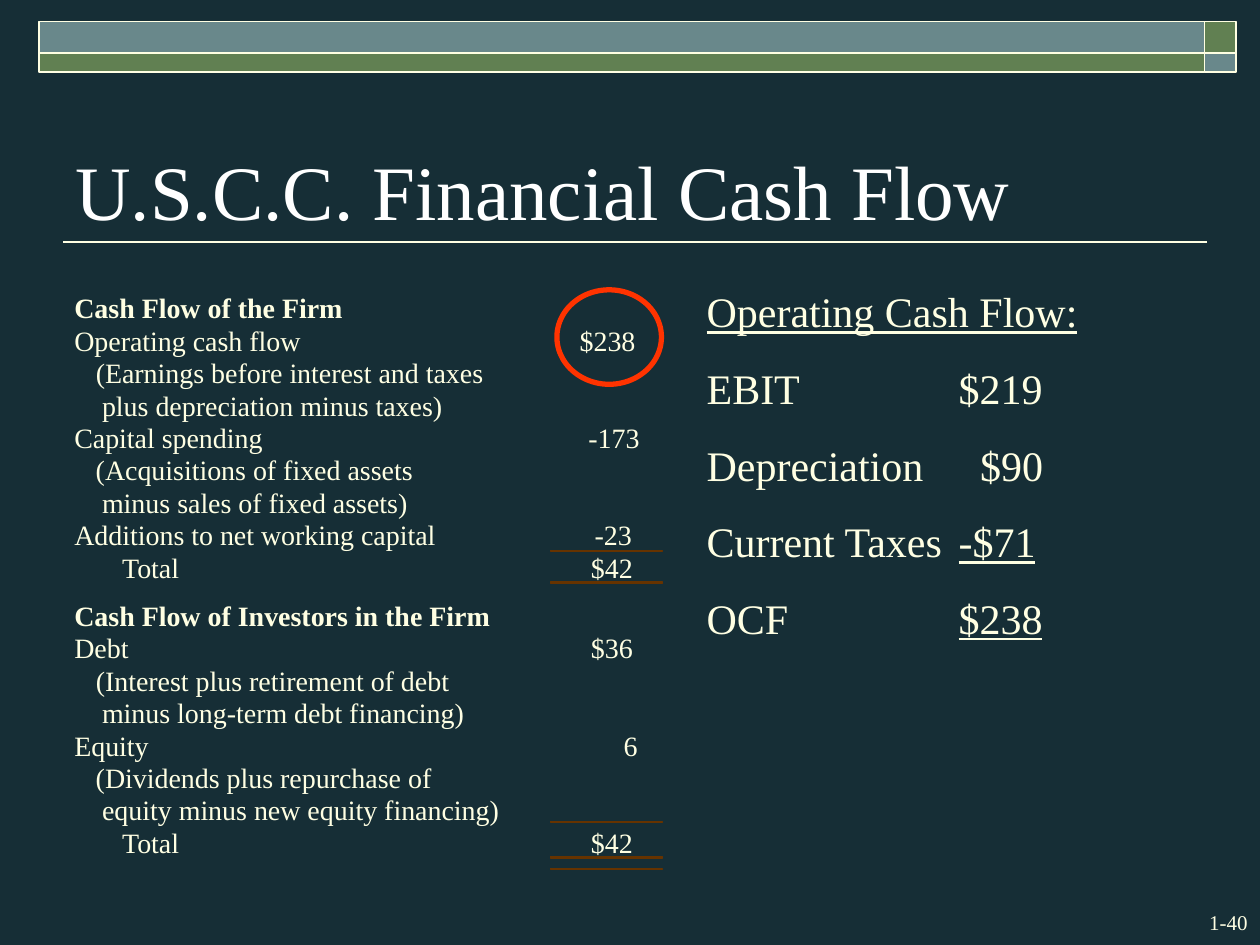
from dataclasses import dataclass

from lxml.etree import SubElement
from pptx import Presentation
from pptx.dml.color import RGBColor
from pptx.enum.shapes import MSO_CONNECTOR, MSO_SHAPE
from pptx.enum.text import MSO_ANCHOR, MSO_AUTO_SIZE, PP_ALIGN
from pptx.oxml.ns import qn
from pptx.util import Inches, Pt


@dataclass(frozen=True)
class Theme:
    font: str = "Times New Roman"
    back: str = "162E36"
    title: str = "FFFFFF"
    text: str = "FFFFE3"
    green: str = "618052"
    blue: str = "69888B"
    rule: str = "663300"
    rule_fill: str = "000000"
    ring: str = "FF3300"
    title_size: int = 44
    detail_size: int = 24
    row_size: int = 16
    number_size: int = 12


THEME = Theme()
ROW_PITCH = 1.8 / 7
ROW_HEIGHT = 0.27
SLACK = 0.04  # spare width that keeps each cell on one line
SUB, SUB_MORE, TOTAL = 0.17, 0.22, 0.38  # label indents

# Rows: label, label width, indent, value, value offset, value width
FIRM_ROWS = [
    ("Cash Flow of the Firm", 2.13, 0, "", 0, 0),
    ("Operating cash flow", 1.8, 0, "$238", 4.01, 0.44),
    ("(Earnings before interest and taxes", 3.24, SUB, "", 0, 0),
    ("plus depreciation minus taxes)", 2.92, SUB_MORE, "", 0, 0),
    ("Capital spending", 1.5, 0, "-173", 4.08, 0.4),
    ("(Acquisitions of fixed assets", 2.69, SUB, "", 0, 0),
    ("minus sales of fixed assets)", 2.65, SUB_MORE, "", 0, 0),
    ("Additions to net working capital", 2.87, 0, "-23", 4.13, 0.3),
    ("Total", 0.86, TOTAL, "$42", 4.1, 0.33),
]
INVESTOR_ROWS = [
    ("Cash Flow of Investors in the Firm", 3.3, 0, "", 0, 0),
    ("Debt", 0.43, 0, "$36", 4.1, 0.33),
    ("(Interest plus retirement of debt", 2.97, SUB, "", 0, 0),
    ("minus long-term debt financing)", 3.1, SUB_MORE, "", 0, 0),
    ("Equity", 0.59, 0, "6", 4.36, 0.11),
    ("(Dividends plus repurchase of", 2.83, SUB, "", 0, 0),
    ("equity minus new equity financing)", 3.37, SUB_MORE, "", 0, 0),
    ("Total", 0.86, TOTAL, "$42", 4.1, 0.33),
]
RULE_TOPS = [4.37, 4.62, 6.52, 6.8, 6.89]

# Rows: label, value, underlined value, tab position
DETAIL_ROWS = [
    ("EBIT", "$219", False, 2),
    ("Depreciation", "$90", False, 2.17),
    ("Current Taxes", "-$71", True, 2),
    ("OCF", "$238", True, 2),
]


def color(value):
    return RGBColor.from_string(value)


def add_run(p, text, size, ink=THEME.text, bold=False, underline=False):
    r = p.add_run()
    r.text = text
    r.font.name = THEME.font
    r.font.size = Pt(size)
    r.font.color.rgb = color(ink)
    r.font.bold = bold
    r.font.underline = underline


def add_text_frame(s, x, y, w, h, wrap=True):
    tf = s.shapes.add_textbox(Inches(x), Inches(y), Inches(w), Inches(h)).text_frame
    tf.word_wrap = wrap
    return tf


def add_outlined(s, kind, x, y, w, h, fill, line, weight):
    sp = s.shapes.add_shape(kind, Inches(x), Inches(y), Inches(w), Inches(h))
    sp.shadow.inherit = False
    if fill:
        sp.fill.solid()
        sp.fill.fore_color.rgb = color(fill)
    else:
        sp.fill.background()
    sp.line.color.rgb = color(line)
    sp.line.width = Pt(weight)


def add_banner(s, x, y, w, h):
    corner, top = 0.25, 0.25
    columns = [(x, w - corner), (x + w - corner, corner)]
    rows = [(y, top), (y + top, h - top)]
    for i, (left, width) in enumerate(columns):
        for j, (row_top, height) in enumerate(rows):
            fill = THEME.blue if i == j else THEME.green
            add_outlined(s, MSO_SHAPE.RECTANGLE, left, row_top, width, height,
                         fill, THEME.text, 1)


def add_title(s, x, y, w, h):
    tf = add_text_frame(s, x, y, w, h)
    tf.vertical_anchor = MSO_ANCHOR.BOTTOM
    add_run(tf.paragraphs[0], "U.S.C.C. Financial Cash Flow",
            THEME.title_size, THEME.title)
    # Line under the title
    line = s.shapes.add_connector(MSO_CONNECTOR.STRAIGHT, Inches(9.58),
                                  Inches(y + h), Inches(x), Inches(y + h))
    line.line.color.rgb = color(THEME.text)
    line.line.width = Pt(1)
    SubElement(line.element.spPr, qn("a:effectLst"))


def add_cell(s, x, y, w, text, indent=0, bold=False):
    tf = add_text_frame(s, x, y, w + SLACK, ROW_HEIGHT, wrap=False)
    tf.margin_left = tf.margin_right = tf.margin_top = tf.margin_bottom = 0
    tf.auto_size = MSO_AUTO_SIZE.SHAPE_TO_FIT_TEXT
    p = tf.paragraphs[0]
    if indent:
        p._p.get_or_add_pPr().set("marL", str(Inches(indent)))
    add_run(p, text, THEME.row_size, bold=bold)


def add_statement(s, x, y, rows):
    for i, (label, width, indent, value, offset, value_width) in enumerate(rows):
        top = y + i * ROW_PITCH
        add_cell(s, x, top, width, label, indent, bold=i == 0)
        if value:
            add_cell(s, x + offset, top, value_width, value)


def add_rules(s, x, w):
    for top in RULE_TOPS:
        add_outlined(s, MSO_SHAPE.RECTANGLE, x, top, w, 0.01,
                     THEME.rule_fill, THEME.rule, 0.75)


def add_detail(s, x, y, w, h):
    tf = add_text_frame(s, x, y, w, h)
    p = tf.paragraphs[0]
    p.space_before = Pt(15)
    add_run(p, "Operating Cash Flow:", THEME.detail_size, underline=True)
    for label, value, underline, tab in DETAIL_ROWS:
        p = tf.add_paragraph()
        p.space_before = Pt(15)
        tabs = SubElement(p._p.get_or_add_pPr(), qn("a:tabLst"))
        SubElement(tabs, qn("a:tab"), pos=str(Inches(tab)), algn="l")
        add_run(p, label + "\t", THEME.detail_size)
        add_run(p, value, THEME.detail_size, underline=underline)


def add_slide_number(s, x, y, w, h):
    p = add_text_frame(s, x, y, w, h).paragraphs[0]
    p.alignment = PP_ALIGN.RIGHT
    add_run(p, "1-40", THEME.number_size)


def main():
    prs = Presentation()
    prs.slide_width, prs.slide_height = Inches(10), Inches(7.5)
    s = prs.slides.add_slide(prs.slide_layouts[6])
    s.background.fill.solid()
    s.background.fill.fore_color.rgb = color(THEME.back)

    # Frame of the slide
    add_banner(s, 0.31, 0.17, 9.5, 0.4)
    add_slide_number(s, 9.17, 7.17, 0.83, 0.3)
    add_title(s, 0.5, 0.67, 8.73, 1.25)

    # Cash flow statement
    add_statement(s, 0.59, 2.31, FIRM_ROWS)
    add_statement(s, 0.59, 4.75, INVESTOR_ROWS)
    add_rules(s, 4.37, 0.89)

    # Operating cash flow, ringed and worked out
    add_detail(s, 5.51, 2.22, 3.75, 2.94)
    add_outlined(s, MSO_SHAPE.OVAL, 4.42, 2.3, 0.83, 0.75, None, THEME.ring, 3)

    prs.save("out.pptx")


if __name__ == "__main__":
    main()
